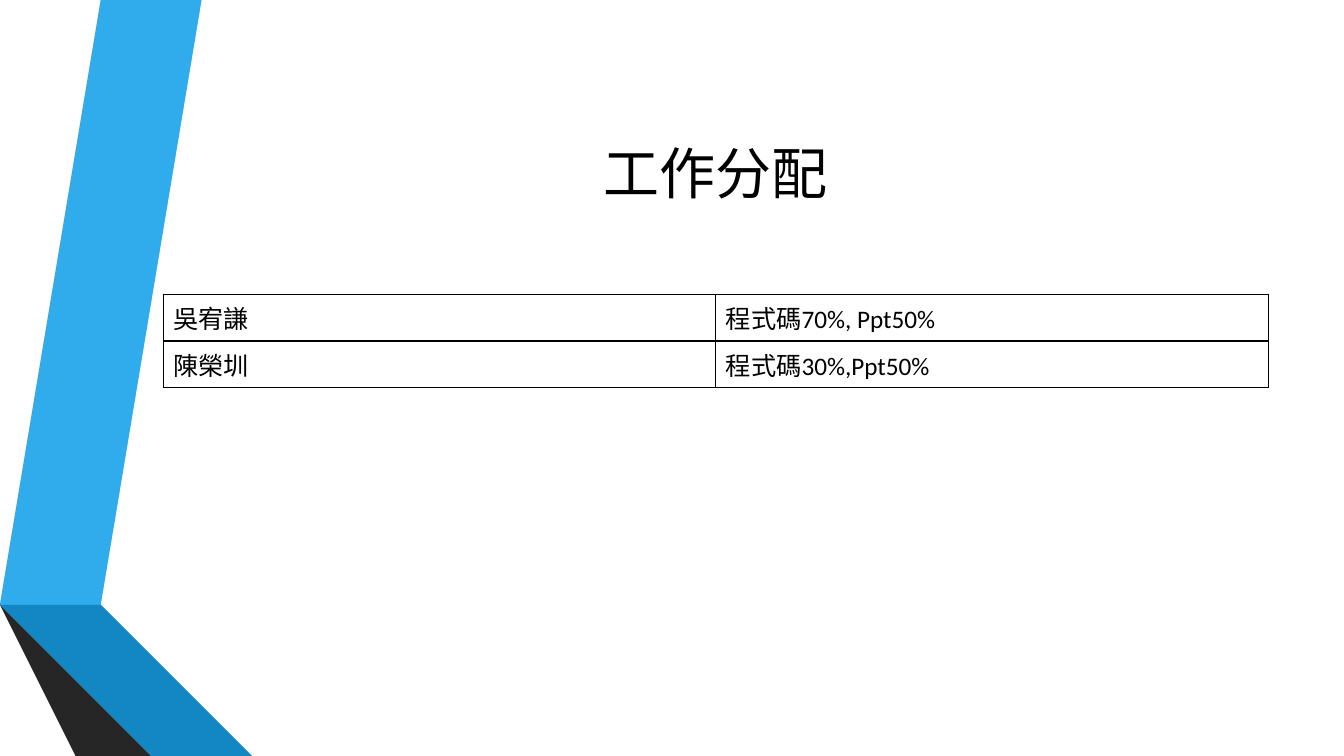
from lxml import etree
from pptx import Presentation
from pptx.dml.color import RGBColor
from pptx.enum.text import MSO_ANCHOR, PP_ALIGN
from pptx.oxml.ns import qn
from pptx.util import Inches, Pt

MIDDLE = MSO_ANCHOR.MIDDLE
LEFT, CENTER = PP_ALIGN.LEFT, PP_ALIGN.CENTER
TITLE_ONLY = 5
WIDTH, HEIGHT = 13.33, 7.5
BODY_LEFT, BODY_WIDTH = 1.62, 10.96
TITLE_TOP, TITLE_HEIGHT = HEIGHT * 0.1, 1.92
TABLE_TOP, ROW_HEIGHT = 2.92, 0.41
FONT, BLACK = "Calibri", "000000"

RIBBONS = [
    ("30ACEC", [(0.5, 5.78), (0.77, 5.83), (1.73, 0), (1.45, 0)]),
    ("595959", [(1.39, 0), (1.11, 0), (0.16, 5.73), (0.44, 5.77)]),
    ("262626", [(0.16, 5.73), (1.45, HEIGHT), (1.51, HEIGHT)]),
    ("0C5A82", [(0.5, 5.79), (2.08, HEIGHT), (2.14, HEIGHT)]),
    ("1287C3", [(0.5, 5.79), (2.14, HEIGHT), (2.83, HEIGHT), (0.77, 5.83), (0.5, 5.78)]),
    ("404040", [(2.02, HEIGHT), (0.48, 5.83), (0.43, 5.78), (0.44, 5.77),
                (0.16, 5.73), (1.51, HEIGHT)]),
]
ASSIGNMENTS = [
    ("吳宥謙", "程式碼70%, Ppt50%"),
    ("陳榮圳", "程式碼30%,Ppt50%"),
]


def color(hex_value):
    return RGBColor.from_string(hex_value)


def write(frame, text, size=18, align=LEFT, fill=BLACK):
    paragraph = frame.paragraphs[0]
    paragraph.alignment = align
    run = paragraph.add_run()
    run.text = text
    run.font.size = Pt(size)
    run.font.name = FONT
    run.font.color.rgb = color(fill)


def add_ribbon(slide, fill, corners):
    outline = slide.shapes.build_freeform(*corners[0], scale=Inches(1))
    outline.add_line_segments(corners[1:], close=True)
    ribbon = outline.convert_to_shape()
    ribbon.shadow.inherit = False
    ribbon.fill.solid()
    ribbon.fill.fore_color.rgb = color(fill)
    ribbon.line.fill.background()


def add_title(slide, text):
    title = slide.shapes.title
    title.left, title.top = Inches(BODY_LEFT), Inches(TITLE_TOP)
    title.width, title.height = Inches(BODY_WIDTH), Inches(TITLE_HEIGHT)
    title.text_frame.vertical_anchor = MIDDLE
    write(title.text_frame, text, size=40, align=CENTER)


def add_borders(cell, hex_value=BLACK, width=1):
    properties = cell._tc.get_or_add_tcPr()
    for position, side in enumerate(("a:lnL", "a:lnR", "a:lnT", "a:lnB")):
        border = etree.Element(qn(side), w=str(Pt(width)))
        solid = etree.SubElement(border, qn("a:solidFill"))
        etree.SubElement(solid, qn("a:srgbClr"), val=hex_value)
        properties.insert(position, border)


def add_assignments(slide, rows):
    columns = len(rows[0])
    table = slide.shapes.add_table(
        len(rows), columns, Inches(BODY_LEFT), Inches(TABLE_TOP),
        Inches(BODY_WIDTH), Inches(ROW_HEIGHT * len(rows))).table
    table.first_row = table.horz_banding = False
    for row_index, row in enumerate(rows):
        for column_index, text in enumerate(row):
            cell = table.cell(row_index, column_index)
            cell.fill.background()
            add_borders(cell)
            write(cell.text_frame, text)


def main():
    deck = Presentation()
    deck.slide_width, deck.slide_height = Inches(WIDTH), Inches(HEIGHT)
    slide = deck.slides.add_slide(deck.slide_layouts[TITLE_ONLY])
    for fill, corners in RIBBONS:
        add_ribbon(slide, fill, corners)
    add_title(slide, "工作分配")
    add_assignments(slide, ASSIGNMENTS)
    deck.save("out.pptx")


if __name__ == "__main__":
    main()
